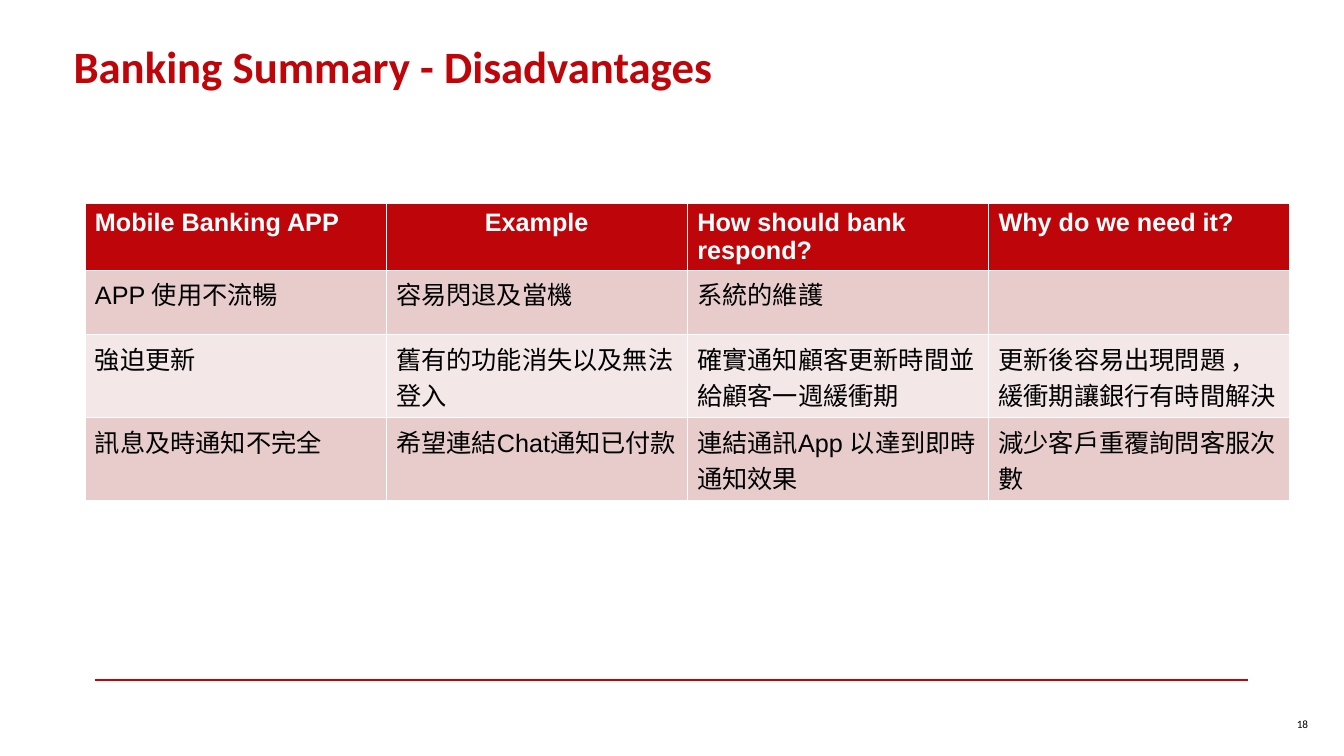
from dataclasses import dataclass

from lxml import etree
from pptx import Presentation
from pptx import util as u
from pptx.dml.color import RGBColor
from pptx.enum import shapes, text
from pptx.oxml import ns

RED = RGBColor(0xBE, 0x05, 0x0A)
WHITE = RGBColor(0xFF, 0xFF, 0xFF)
BLACK = RGBColor(0, 0, 0)
BANDS = (RGBColor(0xE8, 0xCC, 0xCC), RGBColor(0xF4, 0xE7, 0xE7))


@dataclass(frozen=True)
class TextFormat:
    name: str
    size: int
    color: RGBColor
    bold: bool = False
    align: text.PP_ALIGN = text.PP_ALIGN.LEFT


@dataclass(frozen=True)
class TableRow:
    cells: tuple[str, ...]
    fill: RGBColor
    formats: tuple[TextFormat, ...]


TITLE = TextFormat("Calibri", 32, RED, bold=True)
NUMBER = TextFormat("Calibri", 8, BLACK, align=text.PP_ALIGN.RIGHT)
HEADING = TextFormat("Arial", 18, WHITE, bold=True)
CENTRED_HEADING = TextFormat("Arial", 18, WHITE, bold=True, align=text.PP_ALIGN.CENTER)
BODY = TextFormat("Arial", 18, BLACK)

HEADINGS = ("Mobile Banking APP", "Example", "How should bank respond?", "Why do we need it?")
ISSUES = (
    ("APP 使用不流暢", "容易閃退及當機", "系統的維護", ""),
    ("強迫更新", "舊有的功能消失以及無法登入", "確實通知顧客更新時間並給顧客一週緩衝期",
     "更新後容易出現問題 ，緩衝期讓銀行有時間解決"),
    ("訊息及時通知不完全", "希望連結Chat通知已付款", "連結通訊App 以達到即時通知效果",
     "減少客戶重覆詢問客服次數"),
)


def write(frame, words: str, style: TextFormat) -> None:
    """Put one formatted paragraph into a text frame."""
    para = frame.paragraphs[0]
    para.alignment = style.align
    if words:
        span = para.add_run()
        span.text = words
    font = para.runs[0].font if words else para.font
    values = {"name": style.name, "size": u.Pt(style.size), "bold": style.bold}
    for attribute, value in values.items():
        setattr(font, attribute, value)
    font.color.rgb = style.color


def place(box, left: float, top: float, width: float, height: float) -> None:
    """Position a box, in centimetres."""
    lengths = {"left": left, "top": top, "width": width, "height": height}
    for attribute, value in lengths.items():
        setattr(box, attribute, u.Cm(value))


def format_frame(frame, wrap: bool) -> None:
    values = {
        "word_wrap": wrap,
        "auto_size": text.MSO_AUTO_SIZE.NONE,
        "vertical_anchor": text.MSO_ANCHOR.MIDDLE,
    }
    for attribute, value in values.items():
        setattr(frame, attribute, value)


def add_rule(page) -> None:
    height = u.Cm(17.14)
    rule = page.shapes.add_connector(
        shapes.MSO_CONNECTOR.STRAIGHT, u.Cm(2.39), height, u.Cm(31.45), height)
    rule.line.color.rgb = RED
    rule.line.width = u.Pt(1.5)
    etree.SubElement(rule._element.spPr, ns.qn("a:effectLst"))


def add_number(page, number: str) -> None:
    box = page.shapes.add_textbox(0, 0, 0, 0)
    place(box, 29.26, 17.7, 3.96, 1.07)
    format_frame(box.text_frame, wrap=False)
    write(box.text_frame, number, NUMBER)


def add_title(page, words: str) -> None:
    title = page.shapes.title
    place(title, 1.6, 0.86, 32.26, 1.57)
    format_frame(title.text_frame, wrap=True)
    write(title.text_frame, words, TITLE)


def add_summary(page, rows: list[TableRow]) -> None:
    column_width, row_height = 7.59, 1.63
    count = len(HEADINGS)
    table = page.shapes.add_table(
        len(rows), count, u.Cm(2.14), u.Cm(5.13),
        u.Cm(column_width * count), u.Cm(row_height * len(rows))).table
    for row, content in zip(table.rows, rows):
        for cell, words, style in zip(row.cells, content.cells, content.formats):
            cell.fill.solid()
            cell.fill.fore_color.rgb = content.fill
            write(cell.text_frame, words, style)


def main() -> None:
    deck = Presentation()
    deck.slide_width, deck.slide_height = u.Cm(33.87), u.Cm(19.05)
    page = deck.slides.add_slide(deck.slide_layouts.get_by_name("Title Only"))

    # Frame of the page
    add_rule(page)
    add_number(page, "18")
    add_title(page, "Banking Summary - Disadvantages")

    # Table with alternating bands below the heading row
    heading_formats = (HEADING, CENTRED_HEADING, HEADING, HEADING)
    rows = [TableRow(HEADINGS, RED, heading_formats)]
    for index, issue in enumerate(ISSUES):
        rows.append(TableRow(issue, BANDS[index % 2], (BODY,) * len(issue)))
    add_summary(page, rows)

    deck.save("out.pptx")


if __name__ == "__main__":
    main()
